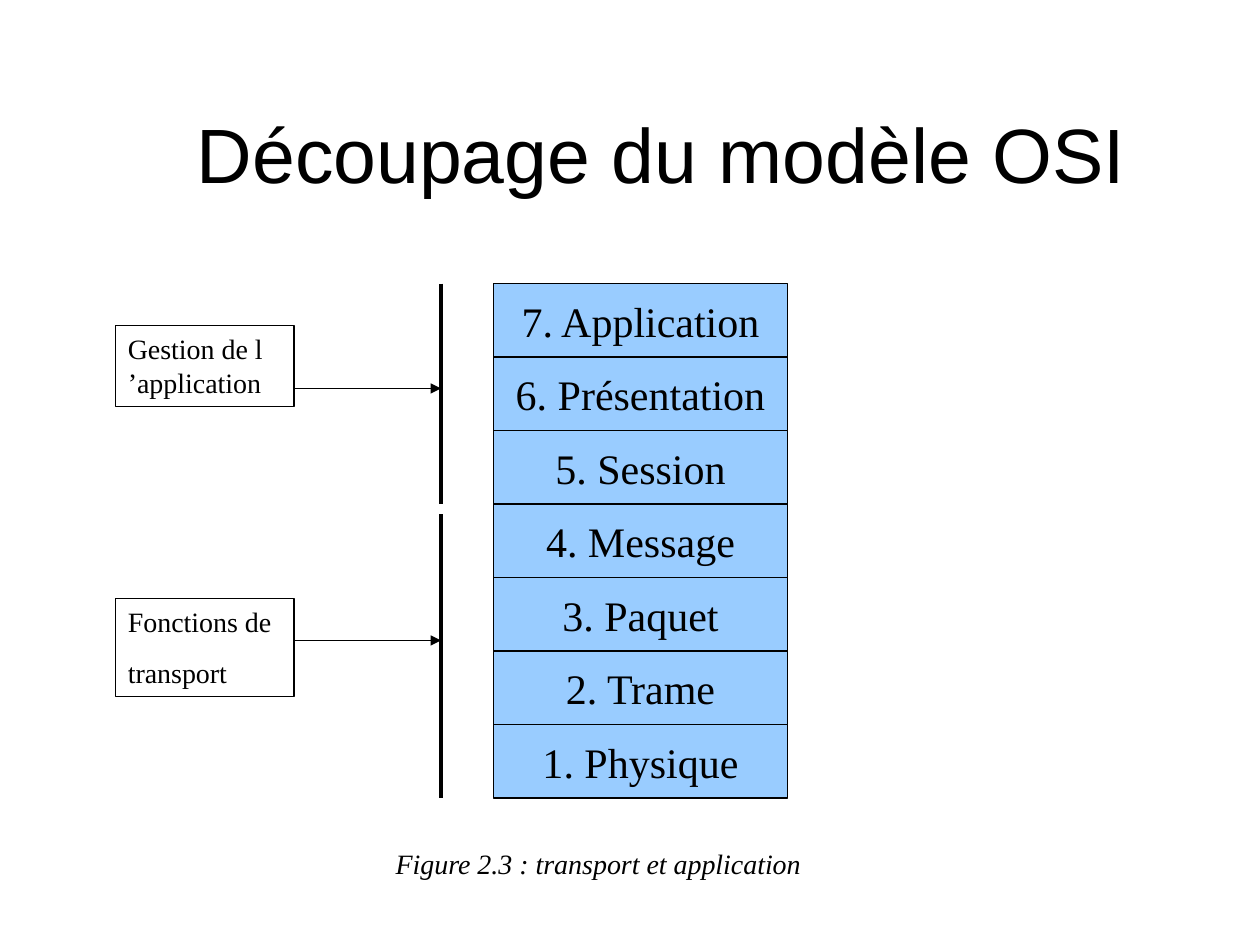
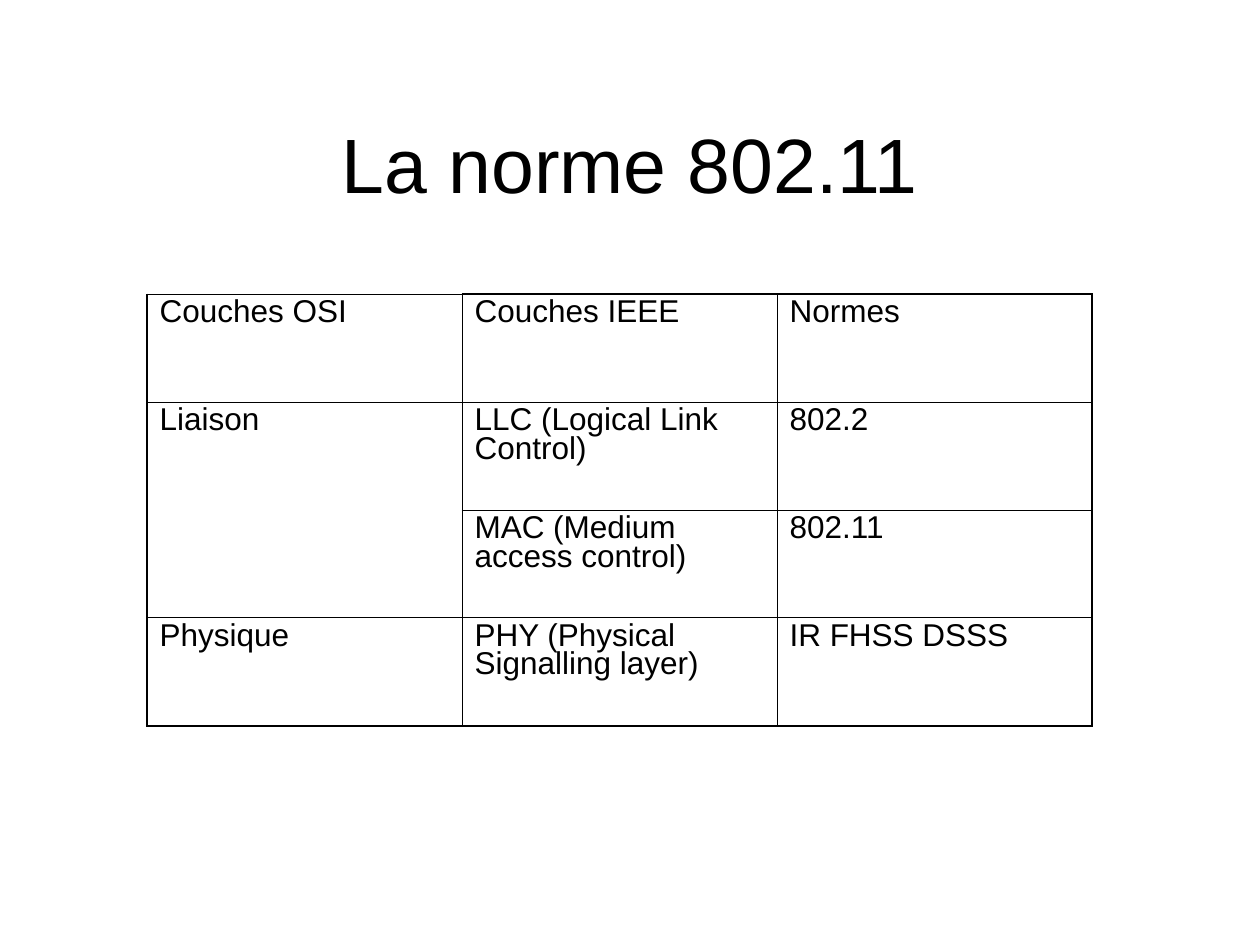
import pptx
import pptx.util
import pptx.dml.color
import pptx.enum.shapes
import pptx.enum.text
import pptx.oxml
import pptx.oxml.ns
import lxml.etree

COLORS = {"ink": "000000", "layer": "99CCFF"}
ALIGN = pptx.enum.text.PP_ALIGN
ANCHOR = pptx.enum.text.MSO_ANCHOR
SHAPES = pptx.enum.shapes.MSO_SHAPE
WIDTH, HEIGHT = pptx.util.Inches(10), pptx.util.Inches(7.5)
COLUMNS = 120
UNIT = WIDTH / COLUMNS
THIN, HEAVY = 0.45, 1.08

TITLE = {"font": {"name": "Arial", "size": pptx.util.Pt(44)},
         "paragraph": {"alignment": ALIGN.CENTER},
         "frame": {"vertical_anchor": ANCHOR.MIDDLE}}
LAYER = {"font": {"name": "Times New Roman", "size": pptx.util.Pt(24)},
         "paragraph": {"alignment": ALIGN.CENTER},
         "frame": {"vertical_anchor": ANCHOR.MIDDLE, "word_wrap": True}}
LABEL = {"font": {"name": "Times New Roman", "size": pptx.util.Pt(16)},
         "paragraph": {"alignment": ALIGN.LEFT, "space_before": pptx.util.Pt(10)},
         "frame": {"vertical_anchor": ANCHOR.TOP, "word_wrap": True}}
CAPTION = {"font": {"name": "Times New Roman", "size": pptx.util.Pt(16), "italic": True},
           "paragraph": {"alignment": ALIGN.LEFT},
           "frame": {"vertical_anchor": ANCHOR.TOP, "word_wrap": False}}
CELL = {"font": {"name": "Arial", "size": pptx.util.Pt(18)},
        "paragraph": {"line_spacing": 0.8, "space_before": pptx.util.Pt(4.5)},
        "frame": {}}


def grid(*cells):
    return [round(n * UNIT) for n in cells]


def rgb(name):
    return pptx.dml.color.RGBColor.from_string(COLORS[name])


def apply(target, values):
    for name, value in values.items():
        setattr(target, name, value)


def write(tf, text, style):
    apply(tf, style["frame"])
    for i, line in enumerate(text.split("\n")):
        p = tf.add_paragraph() if i else tf.paragraphs[0]
        apply(p, style["paragraph"])
        r = p.add_run()
        r.text = line
        apply(r.font, style["font"])
        r.font.color.rgb = rgb("ink")


def add_titled_slide(prs, title, box):
    s = prs.slides.add_slide(prs.slide_layouts[5])
    sp = s.shapes.title
    apply(sp, dict(zip(("left", "top", "width", "height"), grid(*box))))
    write(sp.text_frame, title, TITLE)
    return s


def add_box(s, box, text, style, fill=None):
    sp = s.shapes.add_shape(SHAPES.RECTANGLE, *grid(*box))
    sp.shadow.inherit = False
    if fill:
        sp.fill.solid()
        sp.fill.fore_color.rgb = rgb(fill)
    else:
        sp.fill.background()
    sp.line.color.rgb = rgb("ink")
    sp.line.width = pptx.util.Pt(0.75)
    write(sp.text_frame, text, style)


def add_line(s, start, end, width, arrow=False):
    line = s.shapes.add_connector(pptx.enum.shapes.MSO_CONNECTOR.STRAIGHT,
                                  *grid(*start, *end))
    line.line.color.rgb = rgb("ink")
    line.line.width = pptx.util.Pt(width)
    if arrow:
        lxml.etree.SubElement(line.line._get_or_add_ln(),
                              pptx.oxml.ns.qn("a:tailEnd"), type="triangle")
    lxml.etree.SubElement(line._element.spPr, pptx.oxml.ns.qn("a:effectLst"))


def add_layer_stack(s, box, names):
    x, y, w, h = box
    step = h / len(names)
    for i, name in enumerate(names):
        add_box(s, (x, y + i * step, w, step), name, LAYER, "layer")


def add_layer_group(s, box, text, label_top, label_height, arrow_y):
    x, y, w, h = box
    label_width = 17
    add_line(s, (x + w, y), (x + w, y + h), 2)
    add_line(s, (x + label_width, y + arrow_y), (x + w, y + arrow_y), 0.75, arrow=True)
    add_box(s, (x, y + label_top, label_width, label_height), text, LABEL)


def add_caption(s, box, text):
    sp = s.shapes.add_textbox(*grid(*box))
    write(sp.text_frame, text, CAPTION)


def set_borders(cell, widths):
    tcPr = cell._tc.get_or_add_tcPr()
    for i, (side, width) in enumerate(widths.items()):
        tcPr.insert(i, pptx.oxml.parse_xml(
            f'<a:ln{side} {pptx.oxml.ns.nsdecls("a")} w="{pptx.util.Pt(width)}">'
            f'<a:solidFill><a:srgbClr val="{COLORS["ink"]}"/></a:solidFill></a:ln{side}>'))


def add_standards_table(s, box, rows):
    n_rows, n_cols = len(rows), len(rows[0])
    table = s.shapes.add_table(n_rows, n_cols, *grid(*box)).table
    apply(table, {"first_row": False, "horz_banding": False})
    for r, row in enumerate(rows):
        for c, text in enumerate(row):
            cell = table.cell(r, c)
            cell.fill.background()
            heavy = {"L": c == 0, "R": c == n_cols - 1,
                     "T": r == 0 and c > 0, "B": r == n_rows - 1}
            set_borders(cell, {side: HEAVY if on else THIN for side, on in heavy.items()})
            if text:
                write(cell.text_frame, text, CELL)
            elif r:
                table.cell(r - 1, c).merge(cell)


def build_osi_slide(prs):
    s = add_titled_slide(prs, "Découpage du modèle OSI", (12, 7, 102, 15))
    add_layer_stack(s, (47, 27, 28, 49),
                    ["7. Application", "6. Présentation", "5. Session", "4. Message",
                     "3. Paquet", "2. Trame", "1. Physique"])
    add_layer_group(s, (11, 27, 31, 21), "Gestion de l ’application", 4, 7.75, 10)
    add_layer_group(s, (11, 49, 31, 27), "Fonctions de\ntransport", 8, 9.33, 12)
    add_caption(s, (36.5, 80, 41, 4.4), "Figure 2.3 : transport et application")


def build_standards_slide(prs):
    s = add_titled_slide(prs, "La norme 802.11", (9, 8, 102, 15))
    add_standards_table(s, (14, 28, 90, 41.14), [
        ["Couches OSI", "Couches IEEE", "Normes"],
        ["Liaison", "LLC (Logical Link Control)", "802.2"],
        ["", "MAC (Medium access control)", "802.11"],
        ["Physique", "PHY (Physical Signalling layer)", "IR FHSS DSSS"],
    ])


def main():
    prs = pptx.Presentation()
    apply(prs, {"slide_width": WIDTH, "slide_height": HEIGHT})
    build_osi_slide(prs)
    build_standards_slide(prs)
    prs.save("out.pptx")


if __name__ == "__main__":
    main()
